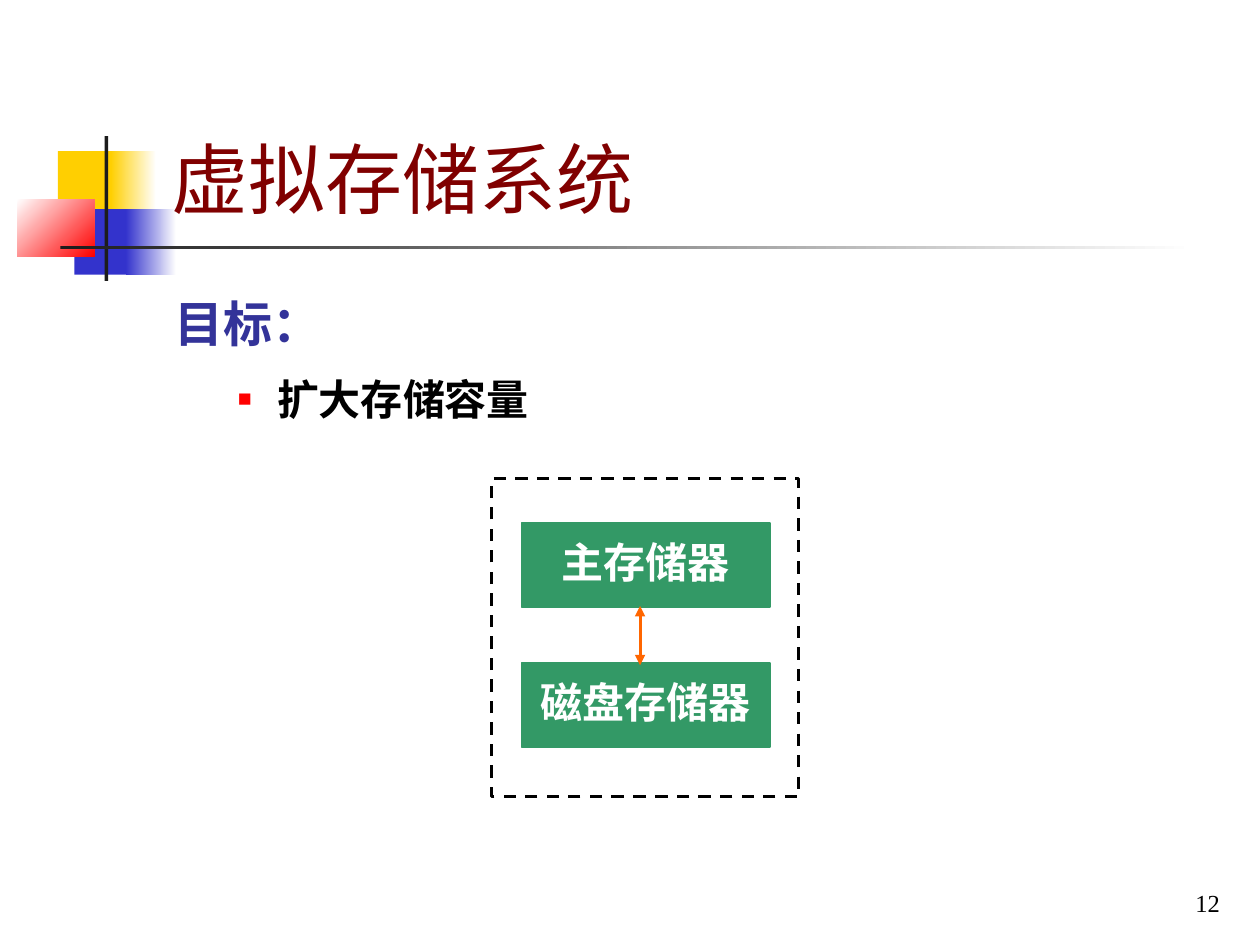
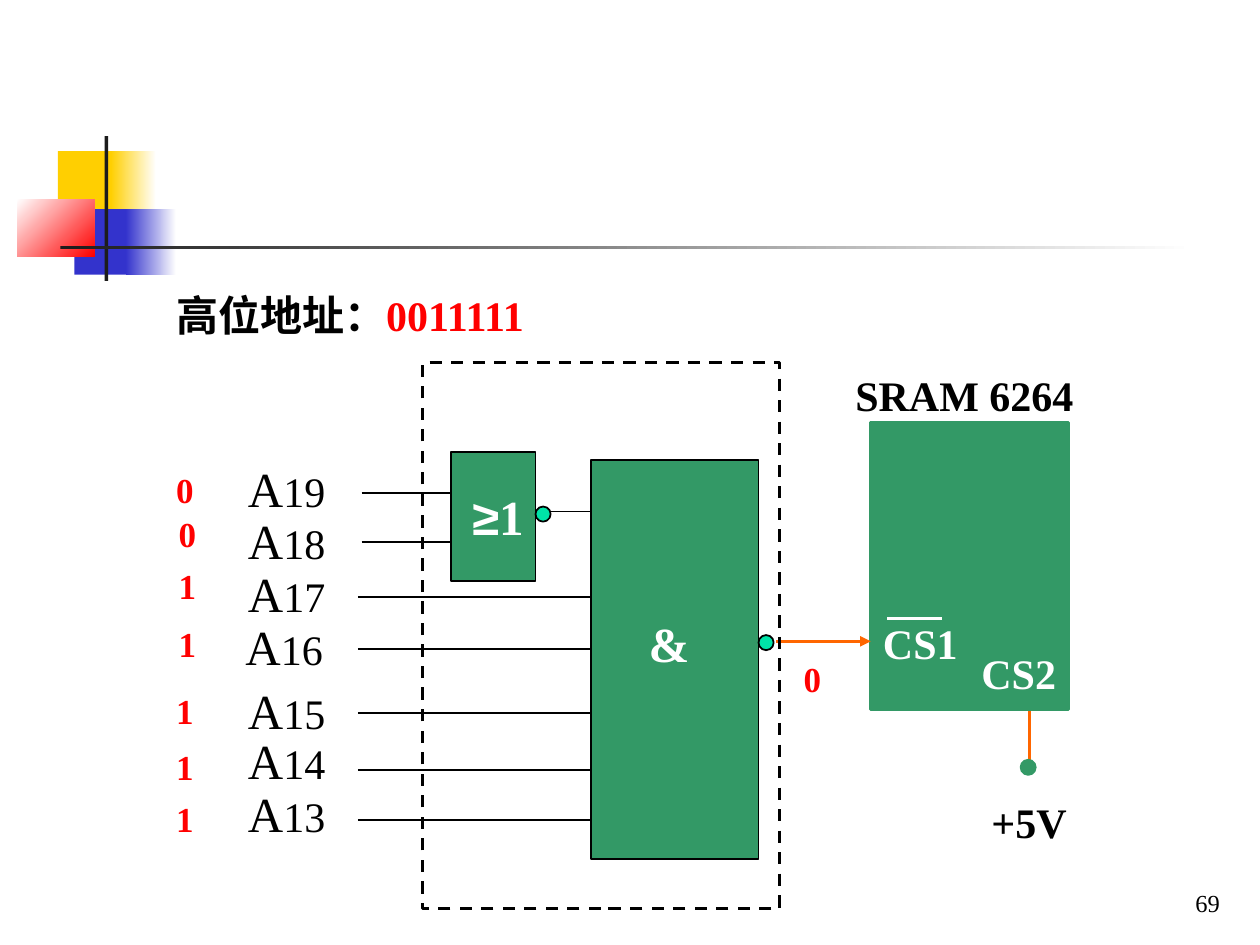
import pptx
import pptx.util
import pptx.dml.color
import pptx.enum.dml
import pptx.enum.shapes
import pptx.enum.text
import pptx.oxml.ns
import lxml.etree

PX = 9144
SERIF = "Times New Roman"
SANS = "Arial"
C = {
    "black": "000000", "white": "FFFFFF", "ink": "1C1C1C",
    "yellow": "FFCF01", "blue": "3333CC", "red": "FF0000",
    "title": "800000", "heading": "333399", "green": "339966",
    "mint": "00E4A8", "orange": "FF6600",
}
SHAPE = pptx.enum.shapes.MSO_SHAPE
ALIGN = pptx.enum.text.PP_ALIGN
ANCHOR = pptx.enum.text.MSO_ANCHOR
FIT = pptx.enum.text.MSO_AUTO_SIZE


def rgb(name):
    return pptx.dml.color.RGBColor.from_string(C[name])


def px(*lengths):
    return [round(v * PX) for v in lengths]


def add_xml(parent, tag, **attrs):
    return lxml.etree.SubElement(parent, pptx.oxml.ns.qn(tag), attrs)


def set_font(font, size=None, color=None, name=None, bold=None):
    if size:
        font.size = pptx.util.Pt(size)
    if color:
        font.color.rgb = rgb(color)
    if name:
        font.name = name
    if bold is not None:
        font.bold = bold


def shape(s, box, fill=None, line=None, width=1, kind=SHAPE.RECTANGLE, dash=False):
    sp = s.shapes.add_shape(kind, *px(*box))
    sp.shadow.inherit = False
    if fill:
        sp.fill.solid()
        sp.fill.fore_color.rgb = rgb(fill)
    else:
        sp.fill.background()
    if line:
        sp.line.color.rgb = rgb(line)
        sp.line.width = pptx.util.Pt(width)
    else:
        sp.line.fill.background()
    if dash:
        sp.line.dash_style = pptx.enum.dml.MSO_LINE.DASH
    return sp


def fade(s, box, start, end, angle=0):
    sp = shape(s, box)
    sp.fill.gradient()
    sp.fill.gradient_angle = angle
    for stop, color in zip(sp.fill.gradient_stops, (start, end)):
        stop.color.rgb = rgb(color)


def dashed_frame(s, box):
    shape(s, box, line="black", width=1.75, dash=True)


def dot(s, x, y, fill, line):
    shape(s, (x, y, 12, 12), fill, line, kind=SHAPE.OVAL)


def line(s, x1, y1, x2, y2, color="black", width=1, head=False, tail=False):
    cx = s.shapes.add_connector(
        pptx.enum.shapes.MSO_CONNECTOR.STRAIGHT, *px(x1, y1, x2, y2))
    cx.line.color.rgb = rgb(color)
    cx.line.width = pptx.util.Pt(width)
    ln = cx.line._get_or_add_ln()
    for tag, wanted in (("a:headEnd", head), ("a:tailEnd", tail)):
        if wanted:
            add_xml(ln, tag, type="triangle")
    add_xml(cx._element.spPr, "a:effectLst")


def text_box(s, box, anchor=ANCHOR.TOP):
    tf = s.shapes.add_textbox(*px(*box)).text_frame
    tf.word_wrap = True
    tf.vertical_anchor = anchor
    return tf


def label(s, box, text, size, color="black", bold=True, wrap=True):
    tf = text_box(s, box)
    tf.word_wrap = wrap
    tf.auto_size = FIT.SHAPE_TO_FIT_TEXT
    p = tf.paragraphs[0]
    set_font(p.font, size, color, SERIF, bold)
    p.add_run().text = text
    return p


def emblem(s, x, y):
    fade_blocks = (
        ("yellow", (32, 12, 48, 52), (74, 12, 36, 52)),
        ("blue", (45, 58, 46, 52), (86, 58, 40, 52)),
    )
    for color, (dx, dy, w, h), (fx, fy, fw, fh) in fade_blocks:
        shape(s, (x + dx, y + dy, w, h), color)
        fade(s, (x + fx, y + fy, fw, fh), color, "white")
    fade(s, (x, y + 50, 61, 46), "white", "red", 315)
    shape(s, (x + 69, y, 3, 115), "ink")
    fade(s, (x + 34, y + 87, 900, 3), "ink", "white")


def page_number(s, box, number):
    p = text_box(s, box, ANCHOR.BOTTOM).paragraphs[0]
    p.alignment = ALIGN.RIGHT
    set_font(p.font, 14, "black", SERIF)
    p.add_run().text = str(number)


def new_slide(prs, number):
    s = prs.slides.add_slide(prs.slide_layouts[6])
    emblem(s, 14, 108)
    page_number(s, (770, 683, 208, 50), number)
    return s


def title(s, box, text):
    p = text_box(s, box, ANCHOR.BOTTOM).paragraphs[0]
    set_font(p.font, 44, "title", SANS)
    p.add_run().text = text


def goals(s, box, heading, goal):
    tf = text_box(s, box)
    p = tf.paragraphs[0]
    p.line_spacing = 1.15
    p.space_after = pptx.util.Pt(1.8)
    set_font(p.font, 28, "heading", SANS, True)
    p.add_run().text = heading

    p = tf.add_paragraph()
    p.level = 1
    p.line_spacing = 1.15
    p.space_before = pptx.util.Pt(6)
    p.space_after = pptx.util.Pt(1.5)
    pPr = p._p.get_or_add_pPr()
    pPr.set("marL", str(81 * PX))
    pPr.set("indent", str(-31 * PX))
    add_xml(add_xml(pPr, "a:buClr"), "a:srgbClr", val=C["red"])
    add_xml(pPr, "a:buSzPct", val="55000")
    add_xml(pPr, "a:buFont", typeface=SANS)
    add_xml(pPr, "a:buChar", char="■")
    set_font(p.font, 24, "black", SANS, True)
    p.add_run().text = goal


def memory_stack(s, box, levels):
    x, y, w, h = box
    for i, name in enumerate(levels):
        sp = shape(s, (x + 24, y + 35 + 111 * i, 197, 67), "green", "green")
        tf = sp.text_frame
        tf.word_wrap = True
        tf.vertical_anchor = ANCHOR.TOP
        p = tf.paragraphs[0]
        p.alignment = ALIGN.CENTER
        p.line_spacing = 1.15
        set_font(p.font, 24, "white", SERIF, True)
        p.add_run().text = name
    dashed_frame(s, box)
    line(s, x + 118, y + 101, x + 118, y + 148, "orange", 1.75, head=True, tail=True)


def high_address(s, box, caption, bits):
    p = label(s, box, caption, 24)
    r = p.add_run()
    r.text = bits
    set_font(r.font, color="red")


def address_lines(s, x, y):
    rows = (
        (19, "0", 0, 57, 0, 8, 32),
        (18, "0", 41, 57, 2, 43, 71),
        (17, "1", 83, 57, 2, 84, 115),
        (16, "1", 125, 55, 2, 130, 156),
        (15, "1", 176, 57, 0, 183, 207),
        (14, "1", 216, 57, 0, 228, 252),
        (13, "1", 258, 57, 0, 269, 292),
    )
    for pin, bit, pin_y, pin_x, bit_x, bit_y, wire_y in rows:
        p = label(s, (x + pin_x, y + pin_y, 100, 57), "A", 28, bold=False)
        r = p.add_run()
        r.text = str(pin)
        set_font(r.font, 24)
        label(s, (x + bit_x, y + bit_y, 39, 44), bit, 20, "red")
        start, end = (157, 229) if pin >= 18 else (154, 338)
        line(s, x + start, y + wire_y, x + end, y + wire_y)


def decoder(s, box):
    x, y, w, h = box
    shape(s, (x + 134, y + 77, 133, 317), "green", "black")
    shape(s, (x + 23, y + 71, 67, 102), "green", "black")
    line(s, x + 100, y + 118, x + 134, y + 118)
    label(s, (x + 170, y + 194, 75, 57), "&", 28, "white")
    p = label(s, (x + 30, y + 93, 75, 57), "≥", 28, "white")
    set_font(p.runs[0].font, name=SANS)
    p.add_run().text = "1"
    dot(s, x + 90, y + 114, "mint", "black")
    dot(s, x + 267, y + 216, "mint", "black")
    line(s, x + 281, y + 221, x + 356, y + 221, "orange", 1.75, tail=True)
    label(s, (x + 293, y + 229, 39, 44), "0", 20, "red")
    dashed_frame(s, box)


def sram(s, box):
    x, y, w, h = box
    shape(s, box, "green", "green", 1.75)
    label(s, (x - 22, y - 47, 193, 50), "SRAM 6264", 24, wrap=False)
    label(s, (x, y + 150, 94, 50), "CS1", 24, "white")
    line(s, x + 13, y + 156, x + 57, y + 156, "white", 1.75)
    label(s, (x + 78, y + 174, 94, 50), "CS2", 24, "white")
    line(s, x + 126, y + h + 1, x + 126, y + h + 48, "orange", 1.75)
    dot(s, x + 119, y + h + 40, "green", "green")
    label(s, (x + 86, y + h + 64, 102, 50), "+5V", 24)


def virtual_memory_slide(prs):
    s = new_slide(prs, 12)
    title(s, (126, 23, 852, 160), "虚拟存储系统")
    goals(s, (129, 221, 591, 131), "目标：", "扩大存储容量")
    memory_stack(s, (390, 380, 244, 252), ("主存储器", "磁盘存储器"))


def address_decoding_slide(prs):
    s = new_slide(prs, 69)
    high_address(s, (130, 225, 496, 50), "高位地址：", "0011111")
    sram(s, (691, 335, 157, 228))
    address_lines(s, 130, 359)
    decoder(s, (335, 288, 284, 433))


def main():
    prs = pptx.Presentation()
    prs.slide_width, prs.slide_height = px(1000, 750)
    virtual_memory_slide(prs)
    address_decoding_slide(prs)
    prs.save("out.pptx")


if __name__ == "__main__":
    main()
